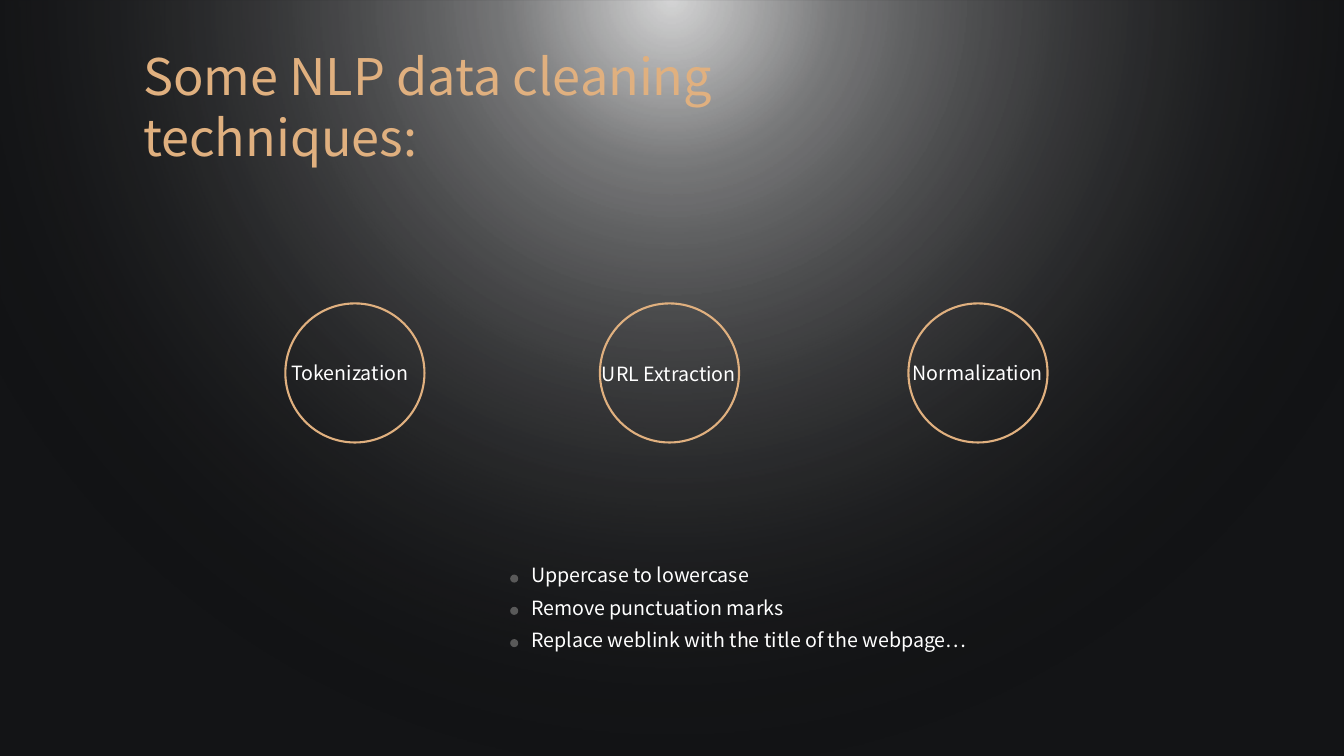
from lxml import etree
from pptx import Presentation
from pptx.dml.color import RGBColor
from pptx.enum.shapes import MSO_SHAPE
from pptx.enum.text import MSO_AUTO_SIZE, PP_ALIGN
from pptx.oxml import parse_xml
from pptx.util import Inches, Pt

OVAL = MSO_SHAPE.OVAL
RECTANGLE = MSO_SHAPE.RECTANGLE
CENTER = PP_ALIGN.CENTER
LEFT = PP_ALIGN.LEFT
FIT_SHAPE = MSO_AUTO_SIZE.SHAPE_TO_FIT_TEXT

FONT = "Noto Sans CJK SC"
WHITE = "FFFFFF"
GOLD = "E0B07F"
GREY = "595959"
NIGHT = "131416"
DRAWING_NS = "http://schemas.openxmlformats.org/drawingml/2006/main"

# Position %, colour and opacity % of the spotlight
GLOW_STOPS = [(0, WHITE, 82), (21, WHITE, 43), (100, "000000", 0)]

CIRCLE_TOP, CIRCLE_SIZE = 3.01, 1.38
# Circle left; label text, left, top and width
TECHNIQUES = [
    (2.83, "Tokenization", 2.78, 3.53, 1.38),
    (5.95, "URL Extraction", 5.85, 3.54, 1.57),
    (9.01, "Normalization", 8.93, 3.53, 1.54),
]

STEP_LEFT, STEP_TOP, STEP_PITCH = 5.17, 5.54, 0.32
STEPS = [
    ("Uppercase to lowercase", 2.43),
    ("Remove punctuation marks", 2.78),
    ("Replace weblink with the title of the webpage…", 4.64),
]


def color(value):
    return RGBColor.from_string(value)


def add_plain_shape(slide, kind, left, top, width, height, fill=None, line=None):
    shape = slide.shapes.add_shape(
        kind, Inches(left), Inches(top), Inches(width), Inches(height))
    shape.shadow.inherit = False
    if fill:
        shape.fill.solid()
        shape.fill.fore_color.rgb = color(fill)
    else:
        shape.fill.background()
    if line:
        shape.line.color.rgb = color(line)
        shape.line.width = Pt(1.5)
    else:
        shape.line.fill.background()
    return shape


def add_text(slide, text, left, top, width, height=0.34, size=14,
             text_color=WHITE, align=LEFT, wrap=False):
    box = slide.shapes.add_textbox(
        Inches(left), Inches(top), Inches(width), Inches(height))
    frame = box.text_frame
    frame.word_wrap = wrap
    frame.auto_size = FIT_SHAPE
    paragraph = frame.paragraphs[0]
    paragraph.text = text
    paragraph.alignment = align
    paragraph.font.name = FONT
    paragraph.font.size = Pt(size)
    paragraph.font.color.rgb = color(text_color)


def add_spotlight(slide, width, height):
    shape = add_plain_shape(slide, RECTANGLE, 0, 0, width, height)
    stops = "".join(
        f'<a:gs pos="{position * 1000}"><a:srgbClr val="{value}">'
        f'<a:alpha val="{opacity * 1000}"/></a:srgbClr></a:gs>'
        for position, value, opacity in GLOW_STOPS)
    gradient = parse_xml(
        f'<a:gradFill xmlns:a="{DRAWING_NS}" rotWithShape="1">'
        f'<a:gsLst>{stops}</a:gsLst><a:path path="circle">'
        '<a:fillToRect l="50000" t="-80000" r="50000" b="180000"/>'
        '</a:path></a:gradFill>')
    properties = shape.element.spPr
    no_fill = properties.find(etree.QName(DRAWING_NS, "noFill"))
    properties.replace(no_fill, gradient)


def add_technique(slide, circle_left, text, left, top, width):
    add_plain_shape(slide, OVAL, circle_left, CIRCLE_TOP,
                    CIRCLE_SIZE, CIRCLE_SIZE, line=GOLD)
    add_text(slide, text, left, top, width, align=CENTER)


def add_step(slide, index, text, width):
    top = STEP_TOP + index * STEP_PITCH
    add_text(slide, text, STEP_LEFT, top, width)
    add_plain_shape(slide, OVAL, STEP_LEFT - 0.11, top + 0.16, 0.08, 0.08, fill=GREY)


def main():
    presentation = Presentation()
    presentation.slide_width = Inches(13.33)
    presentation.slide_height = Inches(7.5)
    slide = presentation.slides.add_slide(presentation.slide_layouts[6])

    # Backdrop
    slide.background.fill.solid()
    slide.background.fill.fore_color.rgb = color(NIGHT)
    add_spotlight(slide, 13.33, 7.5)

    # Title
    add_text(slide, "Some NLP data cleaning techniques:", 1.32, 0.4, 8.38,
             height=1.31, size=36, text_color=GOLD, wrap=True)

    # Technique circles
    for technique in TECHNIQUES:
        add_technique(slide, *technique)

    # Normalization steps
    for index, (text, width) in enumerate(STEPS):
        add_step(slide, index, text, width)

    presentation.save("out.pptx")


if __name__ == "__main__":
    main()
